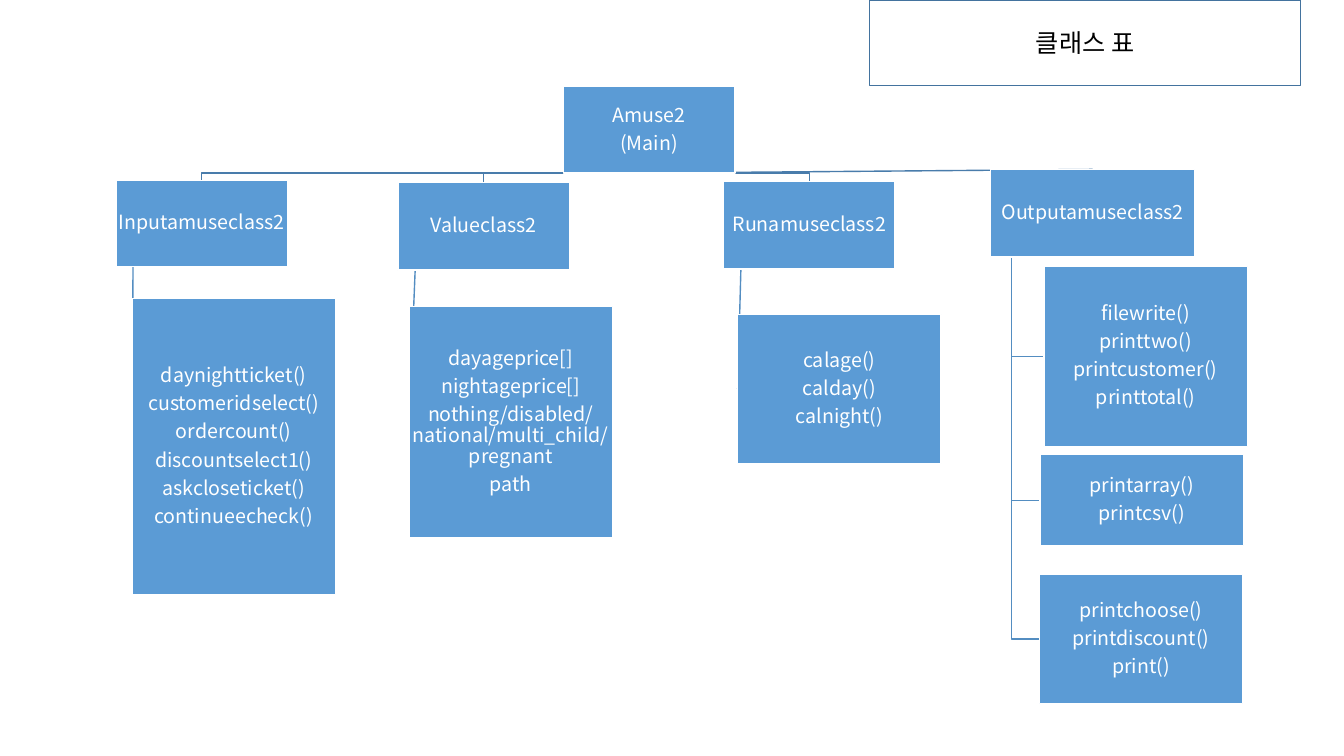
import pptx
import pptx.dml.color
import pptx.enum.shapes
import pptx.enum.text
import pptx.oxml.ns
import pptx.util
from lxml import etree
from pptx.util import Cm

FONT = "Noto Sans CJK KR"
BOX_BLUE = "5B9BD5"
CLASS_LINE = "497CAB"
METHOD_LINE = "538DC1"
WHITE = "FFFFFF"

# Boxes are (left, top, width, height) in cm.
MAIN_BOX = (14.2, 2.18, 4.32, 2.18)
CLASSES = [
    ("Inputamuseclass2", (2.92, 4.55, 4.32, 2.16), [
        ((3.33, 7.52, 5.12, 7.47),
         ["daynightticket()", "customeridselect()", "ordercount()",
          "discountselect1()", "askcloseticket()", "continueecheck()"]),
    ]),
    ("Valueclass2", (10.03, 4.6, 4.32, 2.21), [
        ((10.31, 7.72, 5.13, 5.84),
         ["dayageprice[]", "nightageprice[]",
          "nothing/disabled/national/multi_child/ pregnant", "path"]),
    ]),
    ("Runamuseclass2", (18.24, 4.57, 4.32, 2.21), [
        ((18.59, 7.92, 5.13, 3.76), ["calage()", "calday()", "calnight()"]),
    ]),
    ("Outputamuseclass2", (24.97, 4.27, 5.13, 2.21), [
        ((26.31, 6.71, 5.13, 4.55),
         ["filewrite()", "printtwo()", "printcustomer()", "printtotal()"]),
        ((26.21, 11.46, 5.13, 2.29), ["printarray()", "printcsv()"]),
        ((26.19, 14.48, 5.13, 3.25),
         ["printchoose()", "printdiscount()", "print()"]),
    ]),
]


def rgb(value):
    return pptx.dml.color.RGBColor.from_string(value)


def style_line(line, color):
    line.color.rgb = rgb(color)
    line.width = pptx.util.Pt(1)


def add_run(p, text, size, color):
    r = p.add_run()
    r.text = text
    r.font.name = FONT
    r.font.size = pptx.util.Pt(size)
    r.font.color.rgb = rgb(color)
    ea = etree.SubElement(r.font._element, pptx.oxml.ns.qn("a:ea"))
    ea.set("typeface", FONT)


def add_box(slide, box, lines, size=14, color=WHITE, fill=BOX_BLUE, border=WHITE):
    sp = slide.shapes.add_shape(pptx.enum.shapes.MSO_SHAPE.RECTANGLE,
                                *(Cm(v) for v in box))
    sp.shadow.inherit = False
    if fill:
        sp.fill.solid()
        sp.fill.fore_color.rgb = rgb(fill)
    else:
        sp.fill.background()
    style_line(sp.line, border)
    tf = sp.text_frame
    tf.word_wrap = True
    tf.vertical_anchor = pptx.enum.text.MSO_ANCHOR.MIDDLE
    for i, text in enumerate(lines):
        p = tf.add_paragraph() if i else tf.paragraphs[0]
        p.alignment = pptx.enum.text.PP_ALIGN.CENTER
        add_run(p, text, size, color)
    return sp


def add_node(slide, box, lines):
    """Add a box of the class tree, with tight margins and line spacing."""
    tf = add_box(slide, box, lines).text_frame
    tf.margin_left = tf.margin_right = tf.margin_top = tf.margin_bottom = Cm(0.02)
    for p in tf.paragraphs:
        p.line_spacing = 0.9
        p.space_after = pptx.util.Pt(4.9)


def add_straight(slide, start, end, color):
    c = slide.shapes.add_connector(pptx.enum.shapes.MSO_CONNECTOR.STRAIGHT,
                                   *(Cm(v) for v in start + end))
    style_line(c.line, color)
    etree.SubElement(c._element.spPr, pptx.oxml.ns.qn("a:effectLst"))


def add_elbow(slide, start, corner, end, color):
    first, *rest = [(Cm(x), Cm(y)) for x, y in (start, corner, end)]
    builder = slide.shapes.build_freeform(*first)
    builder.add_line_segments(rest, close=False)
    sp = builder.convert_to_shape()
    sp.shadow.inherit = False
    sp.fill.background()
    style_line(sp.line, color)


def link_class(slide, box, direct):
    """Join the main box to a class box, by a straight line if direct."""
    left, top, width, _ = MAIN_BOX
    start = (left + width / 2, top + MAIN_BOX[3])
    end = (box[0] + box[2] / 2, box[1])
    if direct:
        add_straight(slide, start, end, CLASS_LINE)
    else:
        add_elbow(slide, start, (end[0], start[1]), end, CLASS_LINE)


def link_methods(slide, class_box, box, direct):
    """Join a class box, a tenth in from its left, to a method box."""
    left, top, width, height = class_box
    start = (left + width / 10, top + height)
    end = (box[0], box[1] + box[3] / 2)
    if direct:
        add_straight(slide, start, end, METHOD_LINE)
    else:
        add_elbow(slide, start, (start[0], end[1]), end, METHOD_LINE)


def main():
    prs = pptx.Presentation()
    prs.slide_width, prs.slide_height = Cm(33.87), Cm(19.05)
    slide = prs.slides.add_slide(prs.slide_layouts[6])

    for name, class_box, groups in CLASSES:
        link_class(slide, class_box, direct=name == "Outputamuseclass2")
        for box, _ in groups:
            link_methods(slide, class_box, box, direct=len(groups) == 1)

    add_node(slide, MAIN_BOX, ["Amuse2", "(Main)"])
    for name, class_box, groups in CLASSES:
        add_node(slide, class_box, [name])
        for box, methods in groups:
            add_node(slide, box, methods)

    add_box(slide, (21.92, 0, 10.85, 2.16), ["클래스 표"], size=18,
            color="000000", fill=None, border="43739E")
    prs.save("out.pptx")


if __name__ == "__main__":
    main()
